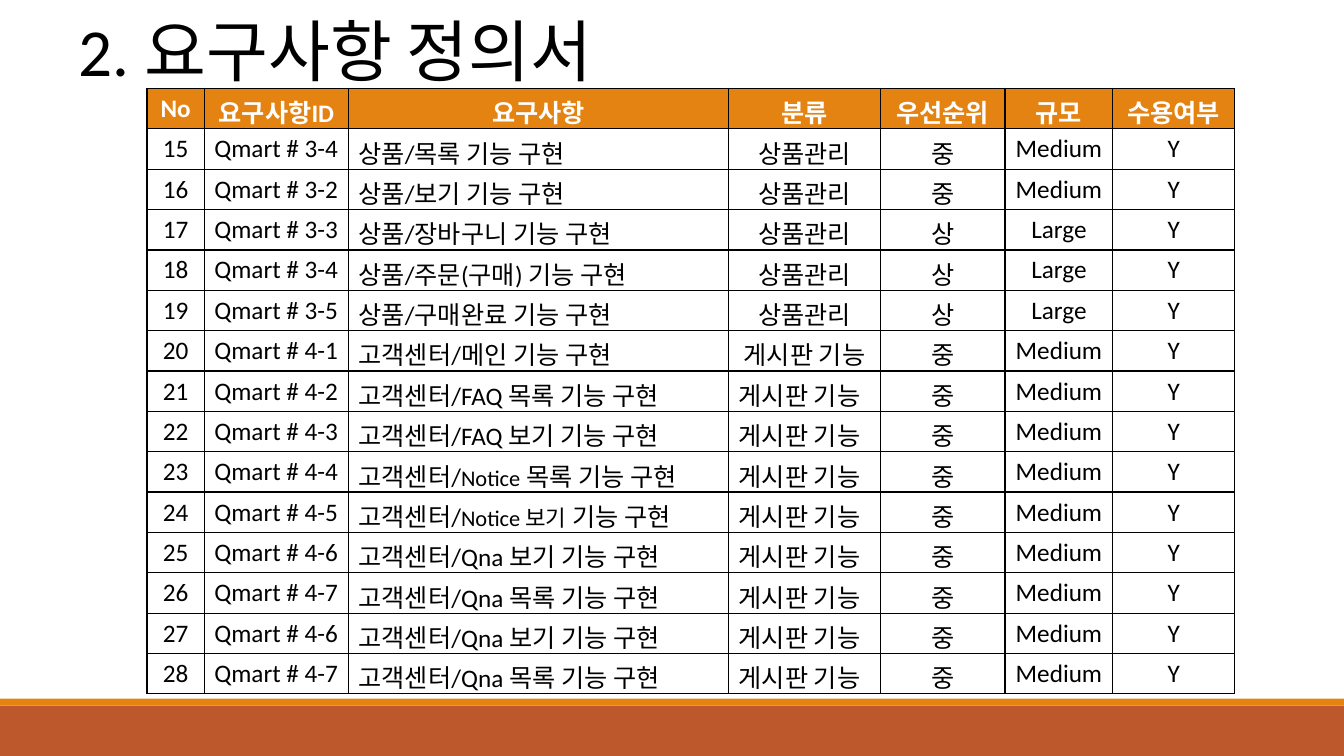
from lxml import etree
from pptx import Presentation
from pptx.dml.color import RGBColor
from pptx.enum import shapes, text
from pptx.oxml.ns import qn
from pptx.util import Pt

COLORS = {"orange": "E48312", "rust": "BD582C", "white": "FFFFFF", "black": "000000"}
FONT = "Calibri"
TITLE = "2. 요구사항 정의서"
HEADERS = ["No", "요구사항ID", "요구사항", "분류", "우선순위", "규모", "수용여부"]
FIRST_NUMBER = 15
PRODUCT, BOARD = "상품관리", "게시판 기능"

# ID, requirement, category, priority, size; a tuple alternates 18 pt and 16 pt text
REQUIREMENTS = [
    ("3-4", "상품/목록 기능 구현", PRODUCT, "중", "Medium"),
    ("3-2", "상품/보기 기능 구현", PRODUCT, "중", "Medium"),
    ("3-3", "상품/장바구니 기능 구현", PRODUCT, "상", "Large"),
    ("3-4", "상품/주문(구매) 기능 구현", PRODUCT, "상", "Large"),
    ("3-5", "상품/구매완료 기능 구현", PRODUCT, "상", "Large"),
    ("4-1", "고객센터/메인 기능 구현", BOARD, "중", "Medium"),
    ("4-2", "고객센터/FAQ 목록 기능 구현", BOARD, "중", "Medium"),
    ("4-3", "고객센터/FAQ 보기 기능 구현", BOARD, "중", "Medium"),
    ("4-4", ("고객센터/", "Notice", " 목록 기능 구현"), BOARD, "중", "Medium"),
    ("4-5", ("고객센터/", "Notice 보기", " 기능 구현"), BOARD, "중", "Medium"),
    ("4-6", "고객센터/Qna 보기 기능 구현", BOARD, "중", "Medium"),
    ("4-7", "고객센터/Qna 목록 기능 구현", BOARD, "중", "Medium"),
    ("4-6", "고객센터/Qna 보기 기능 구현", BOARD, "중", "Medium"),
    ("4-7", "고객센터/Qna 목록 기능 구현", BOARD, "중", "Medium"),
]

SLIDE_WIDTH, SLIDE_HEIGHT = 960, 540
BANDS = [("rust", 504, 36), ("orange", 499, 5)]  # colour, top, height
TABLE_LEFT, TABLE_TOP, ROW_HEIGHT = 105, 63.2, 28.8
COLUMN_WIDTHS = [41, 103, 271.5, 108.5, 89, 77, 87]
ID_COLUMN, NAME_COLUMN, CATEGORY_COLUMN = 1, 2, 3
FIRST_LEFT_CATEGORY_ROW = 7


def color(name):
    return RGBColor.from_string(COLORS[name])


def add_span(para, words, size, ink="black", bold=False):
    span = para.add_run()
    span.text = words
    for key, value in {"name": FONT, "size": Pt(size), "bold": bold}.items():
        setattr(span.font, key, value)
    span.font.color.rgb = color(ink)


def add_borders(cell):
    """Draw a 1 pt black line on all four sides; lines precede the fill in the XML."""
    properties = cell._tc.get_or_add_tcPr()
    for position, side in enumerate(("a:lnL", "a:lnR", "a:lnT", "a:lnB")):
        line = etree.Element(qn(side), w=str(Pt(1)))
        fill = etree.SubElement(line, qn("a:solidFill"))
        etree.SubElement(fill, qn("a:srgbClr"), val=COLORS["black"])
        properties.insert(position, line)


def is_left(row, column):
    if row == 0:
        return False
    return column in (ID_COLUMN, NAME_COLUMN) or (
        column == CATEGORY_COLUMN and row >= FIRST_LEFT_CATEGORY_ROW)


def add_bands(page):
    for name, top, height in BANDS:
        band = page.shapes.add_shape(shapes.MSO_SHAPE.RECTANGLE, 0, Pt(top),
                                     Pt(SLIDE_WIDTH), Pt(height))
        band.shadow.inherit = False
        band.fill.solid()
        band.fill.fore_color.rgb = color(name)
        band.line.fill.background()


def add_title(page):
    box = page.shapes.add_textbox(Pt(49), Pt(3), Pt(412.5), Pt(65.5))
    box.text_frame.word_wrap = False
    add_span(box.text_frame.paragraphs[0], TITLE, 48)


def add_requirements(page):
    rows = [HEADERS] + [
        (str(number), f"Qmart # {code}", *details, "Y")
        for number, (code, *details) in enumerate(REQUIREMENTS, FIRST_NUMBER)]
    table = page.shapes.add_table(
        len(rows), len(HEADERS), Pt(TABLE_LEFT), Pt(TABLE_TOP),
        Pt(sum(COLUMN_WIDTHS)), Pt(ROW_HEIGHT * len(rows))).table
    for column, width in zip(table.columns, COLUMN_WIDTHS):
        column.width = Pt(width)
    for r, values in enumerate(rows):
        table.rows[r].height = Pt(ROW_HEIGHT)
        header = r == 0
        for c, value in enumerate(values):
            cell = table.cell(r, c)
            cell.fill.solid()
            cell.fill.fore_color.rgb = color("orange" if header else "white")
            add_borders(cell)
            para = cell.text_frame.paragraphs[0]
            para.alignment = text.PP_ALIGN.LEFT if is_left(r, c) else text.PP_ALIGN.CENTER
            parts = (value,) if isinstance(value, str) else value
            for i, words in enumerate(parts):
                add_span(para, words, 16 if i % 2 else 18,
                         "white" if header else "black", header)


def main():
    deck = Presentation()
    deck.slide_width, deck.slide_height = Pt(SLIDE_WIDTH), Pt(SLIDE_HEIGHT)
    page = deck.slides.add_slide(deck.slide_layouts[6])
    add_bands(page)
    add_title(page)
    add_requirements(page)
    deck.save("out.pptx")


if __name__ == "__main__":
    main()
